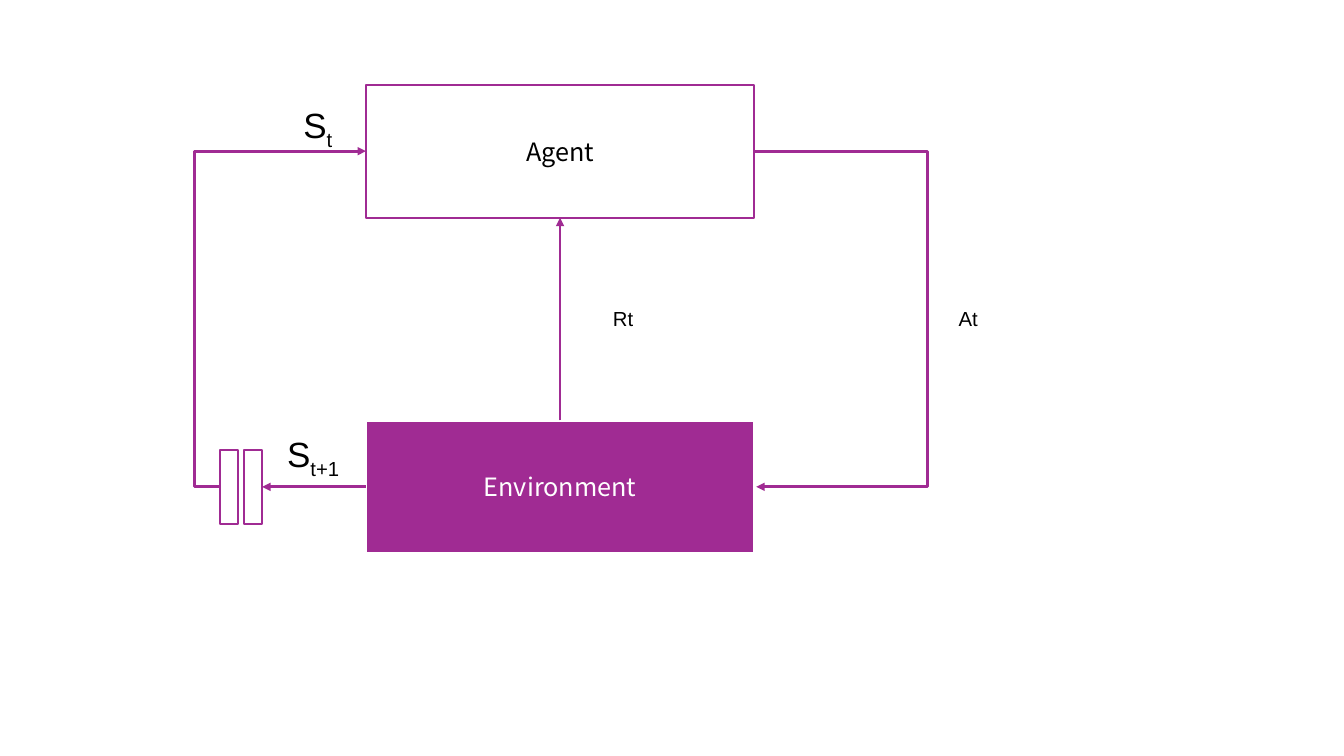
from pptx import Presentation
from pptx.dml.color import RGBColor
from pptx.enum.shapes import MSO_CONNECTOR, MSO_SHAPE
from pptx.enum.text import MSO_ANCHOR, MSO_AUTO_SIZE, PP_ALIGN
from pptx.oxml.ns import qn
from pptx.util import Inches, Pt
from lxml import etree

RECTANGLE = MSO_SHAPE.RECTANGLE
STRAIGHT, ELBOW = MSO_CONNECTOR.STRAIGHT, MSO_CONNECTOR.ELBOW
MIDDLE, CENTER = MSO_ANCHOR.MIDDLE, PP_ALIGN.CENTER
GROW = MSO_AUTO_SIZE.SHAPE_TO_FIT_TEXT
TOP, LEFT, BOTTOM, RIGHT = range(4)
PURPLE, WHITE, BLACK = "A02B93", "FFFFFF", "000000"


def color(hex_value):
    return RGBColor.from_string(hex_value)


class Diagram:
    box_font, label_font = "Noto Sans CJK JP", "Arial"

    def __init__(self, slide):
        self.shapes = slide.shapes

    def box(self, x, y, w, h, fill=WHITE, line=PURPLE, weight=1.5, text="", ink=BLACK):
        box = self.shapes.add_shape(RECTANGLE, Inches(x), Inches(y), Inches(w), Inches(h))
        box.shadow.inherit = False
        box.fill.solid()
        box.fill.fore_color.rgb = color(fill)
        box.line.color.rgb = color(line)
        box.line.width = Pt(weight)
        if text:
            frame = box.text_frame
            frame.text = text
            frame.vertical_anchor = MIDDLE
            frame.paragraphs[0].alignment = CENTER
            self.style(frame.paragraphs[0].runs[0], self.box_font, 18, ink)
        return box

    def style(self, run, font, size, ink):
        run.font.name = font
        run.font.size = Pt(size)
        run.font.color.rgb = color(ink)

    def label(self, x, y, h, symbol, subscript):
        """Place a label whose second part is set as a subscript."""
        box = self.shapes.add_textbox(Inches(x), Inches(y), Inches(0.78), Inches(h))
        frame = box.text_frame
        frame.word_wrap = True
        frame.auto_size = GROW
        for text, baseline in ((symbol, None), (subscript, "-25000")):
            if text:
                run = frame.paragraphs[0].add_run()
                run.text = text
                self.style(run, self.label_font, 25, BLACK)
                if baseline:
                    run.font._element.set("baseline", baseline)

    def arrow(self, kind, start, end):
        arrow = self.shapes.add_connector(kind, *(Inches(v) for v in (*start, *end)))
        arrow.line.color.rgb = color(PURPLE)
        arrow.line.width = Pt(2)
        etree.SubElement(arrow.line._get_or_add_ln(), qn("a:tailEnd"), type="triangle")
        etree.SubElement(arrow._element.spPr, qn("a:effectLst"))
        return arrow

    def joined_arrow(self, source, source_side, target, target_side):
        arrow = self.arrow(STRAIGHT, (0, 0), (1, 1))
        arrow.begin_connect(source, source_side)
        arrow.end_connect(target, target_side)

    def loop_arrow(self, start, end, via_x):
        """Draw an elbow arrow whose vertical part runs at via_x."""
        arrow = self.arrow(ELBOW, start, end)
        bend = round((via_x - start[0]) / (end[0] - start[0]) * 100000)
        guides = arrow._element.spPr.find(qn("a:prstGeom")).get_or_add_avLst()
        etree.SubElement(guides, qn("a:gd"), name="adj1", fmla=f"val {bend}")


def main():
    prs = Presentation()
    prs.slide_width, prs.slide_height = Inches(13.33), Inches(7.5)
    diagram = Diagram(prs.slides.add_slide(prs.slide_layouts[6]))

    # Agent and environment
    box_x, box_w, box_h = 3.63, 3.85, 1.32
    agent_mid, environment_mid = 1.5, 4.83
    agent = diagram.box(box_x, agent_mid - box_h / 2, box_w, box_h, text="Agent")
    environment = diagram.box(box_x, environment_mid - box_h / 2, box_w, box_h,
                              PURPLE, WHITE, 2, "Environment", WHITE)

    # Delay bars and the state loop
    bar_x, bar_w, bar_h = 2.18, 0.18, 0.73
    diagram.loop_arrow((bar_x, environment_mid), (box_x, agent_mid), 1.93)
    bars = [diagram.box(bar_x + i * 0.24, environment_mid - bar_h / 2, bar_w, bar_h)
            for i in range(2)]
    diagram.joined_arrow(environment, LEFT, bars[1], RIGHT)

    # Action loop and reward
    box_right = box_x + box_w
    diagram.loop_arrow((box_right, agent_mid), (box_right + 0.02, environment_mid), 9.19)
    diagram.joined_arrow(environment, TOP, agent, BOTTOM)

    # Labels
    for label in ((2.91, 0.98, 0.52, "S", "t"), (2.75, 4.24, 0.52, "S", "t+1"),
                  (9.41, 2.76, 0.38, "", "At"), (5.98, 2.76, 0.38, "", "Rt")):
        diagram.label(*label)

    prs.save("out.pptx")


if __name__ == "__main__":
    main()
